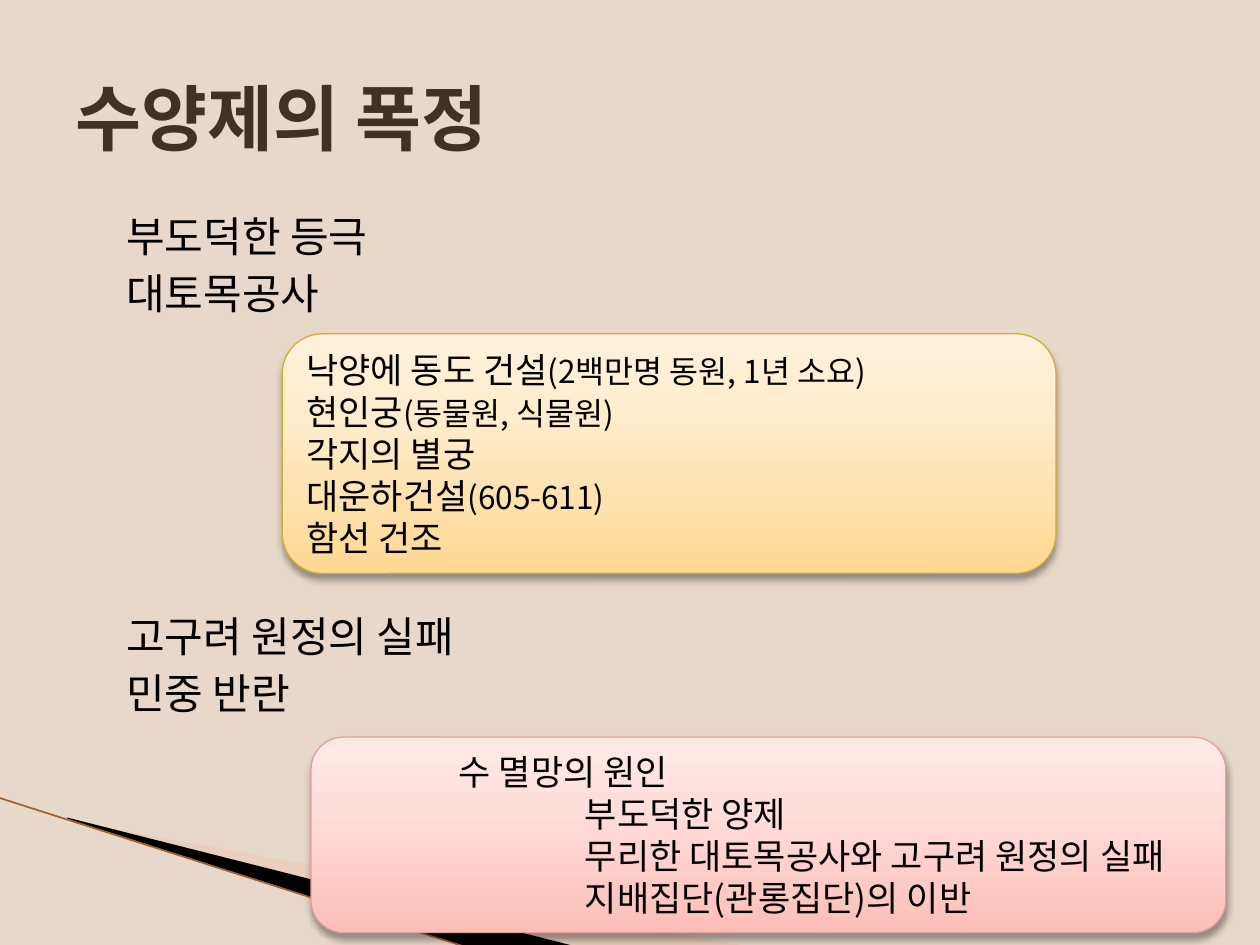
from dataclasses import dataclass

from lxml.etree import SubElement
from pptx import Presentation
from pptx.dml.color import RGBColor
from pptx.enum.shapes import MSO_CONNECTOR, MSO_SHAPE
from pptx.enum.text import MSO_ANCHOR, MSO_AUTO_SIZE, PP_ALIGN
from pptx.oxml import parse_xml
from pptx.oxml.ns import nsdecls, qn
from pptx.util import Cm, Pt


@dataclass(frozen=True)
class Theme:
    """Colours, fonts and type sizes of the slide."""
    background: str = "E8D8CA"
    title: str = "433021"
    text: str = "000000"
    wedge: str = "F3C1A7"
    rule: str = "A0602F"
    gold: tuple = ("FDD892", "FFECCC", "FFF1DB")
    gold_line: str = "D4AC30"
    pink: tuple = ("FEBEB8", "FFDFDC", "FFE9E7")
    pink_line: str = "E4A098"
    title_font: str = "Courier New"
    font: str = "Noto Sans CJK KR"
    latin_font: str = "Arial"
    title_size: int = 41
    body_size: int = 24
    box_size: int = 20
    note_size: int = 18


THEME = Theme()


def rgb(value):
    """Turn a hex string into a colour."""
    return RGBColor.from_string(value)


def add_run(p, text, size, font=THEME.font, color=THEME.text, bold=False):
    """Add one formatted run, with a Korean font for East Asian text."""
    r = p.add_run()
    r.text = text
    r.font.size, r.font.name, r.font.bold = Pt(size), font, bold
    r.font.color.rgb = rgb(color)
    SubElement(r.font._element, qn("a:ea")).set("typeface", THEME.font)


def add_paragraph(tf, index, indent=0, before=0):
    """Return a left-aligned, unbulleted paragraph."""
    p = tf.paragraphs[0] if index == 0 else tf.add_paragraph()
    p.alignment, p.space_before = PP_ALIGN.LEFT, Pt(before)
    pPr = p._p.get_or_add_pPr()
    pPr.set("marL", str(Cm(indent)))
    pPr.set("indent", "0")
    SubElement(pPr, qn("a:buNone"))
    return p


def place(sp, left, top, width, height, anchor):
    """Position a placeholder and return its text frame."""
    sp.left, sp.top, sp.width, sp.height = map(Cm, (left, top, width, height))
    tf = sp.text_frame
    tf.auto_size, tf.vertical_anchor, tf.word_wrap = MSO_AUTO_SIZE.NONE, anchor, True
    return tf


def add_wedge(slide, points, color, alpha=100):
    """Draw a filled outline through points given in centimetres."""
    start, *rest = [(Cm(x), Cm(y)) for x, y in points]
    builder = slide.shapes.build_freeform(*start)
    builder.add_line_segments(rest, close=True)
    sp = builder.convert_to_shape()
    sp.shadow.inherit = False
    sp.line.fill.background()
    sp.fill.solid()
    sp.fill.fore_color.rgb = rgb(color)
    if alpha < 100:
        clr = sp._element.spPr.find(".//" + qn("a:srgbClr"))
        SubElement(clr, qn("a:alpha")).set("val", str(alpha * 1000))


def add_rule(slide, start, end, color, width):
    """Draw a straight line without a shadow."""
    line = slide.shapes.add_connector(MSO_CONNECTOR.STRAIGHT, *map(Cm, start + end))
    line.line.color.rgb, line.line.width = rgb(color), Pt(width)
    SubElement(line._element.spPr, qn("a:effectLst"))


def add_box(slide, bounds, colors, line_color, paragraphs):
    """Draw a rounded box from (indent, runs) paragraphs, shaded upwards."""
    sp = slide.shapes.add_shape(MSO_SHAPE.ROUNDED_RECTANGLE, *map(Cm, bounds))
    sp.line.color.rgb, sp.line.width = rgb(line_color), Pt(0.75)
    sp.shadow.inherit = False
    spPr = sp._element.spPr
    stops = "".join(f'<a:gs pos="{pos}000"><a:srgbClr val="{color}"/></a:gs>'
                    for pos, color in zip((0, 65, 100), colors))
    spPr.find(qn("a:ln")).addprevious(parse_xml(
        f'<a:gradFill {nsdecls("a")} rotWithShape="1"><a:gsLst>{stops}</a:gsLst>'
        '<a:lin ang="16200000" scaled="0"/></a:gradFill>'))
    spPr.find(qn("a:effectLst")).append(parse_xml(
        f'<a:outerShdw {nsdecls("a")} blurRad="{Pt(4)}" dist="{Pt(3)}" dir="5400000" '
        'rotWithShape="0"><a:srgbClr val="000000"><a:alpha val="35000"/></a:srgbClr>'
        '</a:outerShdw>'))
    tf = sp.text_frame
    tf.word_wrap, tf.vertical_anchor = True, MSO_ANCHOR.MIDDLE
    for i, (indent, runs) in enumerate(paragraphs):
        p = add_paragraph(tf, i, indent)
        for text, size, font in runs:
            add_run(p, text, size, font)


def add_background(slide):
    """Colour the slide and draw the corner decoration."""
    slide.background.fill.solid()
    slide.background.fill.fore_color.rgb = rgb(THEME.background)
    add_wedge(slide, [(1.4, 16.54), (15.11, 19.08), (11.58, 19.08), (1.4, 16.51)],
              THEME.wedge, alpha=40)
    add_wedge(slide, [(1.35, 16.48), (11.61, 19.08), (9.45, 19.1), (1.37, 16.51)],
              THEME.text)
    add_rule(slide, (-0.03, 16.08), (9.42, 19.1), THEME.rule, 0.95)


def add_title(slide, text):
    """Fill the title placeholder."""
    tf = place(slide.shapes.title, 1.27, 0.76, 22.86, 3.18, MSO_ANCHOR.MIDDLE)
    add_run(add_paragraph(tf, 0), text, THEME.title_size, THEME.title_font,
            THEME.title, bold=True)


def add_body(slide, items):
    """Fill the body placeholder with (text, space before) items."""
    tf = place(slide.placeholders[1], 1.27, 4.11, 22.86, 12.57, MSO_ANCHOR.TOP)
    for i, (text, before) in enumerate(items):
        add_run(add_paragraph(tf, i, 1.02, before), text, THEME.body_size)


def main():
    """Build and save the slide."""
    prs = Presentation()
    prs.slide_width, prs.slide_height = Cm(25.4), Cm(19.05)
    slide = prs.slides.add_slide(prs.slide_layouts[1])
    add_background(slide)
    add_title(slide, "수양제의 폭정")
    add_body(slide, [("부도덕한 등극", 6), ("대토목공사", 4),
                     ("고구려 원정의 실패", 167), ("민중 반란", 4)])

    works = [("낙양에 동도 건설", "(2백만명 동원, 1년 소요)"),
             ("현인궁", "(동물원, 식물원)"), ("각지의 별궁",),
             ("대운하건설", "(605-611)"), ("함선 건조",)]
    sizes = (THEME.box_size, THEME.note_size)
    add_box(slide, (5.69, 6.73, 15.6, 4.83), THEME.gold, THEME.gold_line,
            [(0, [(text, size, THEME.font) for text, size in zip(parts, sizes)])
             for parts in works])

    causes = ["부도덕한 양제", "무리한 대토목공사와 고구려 원정의 실패",
              "지배집단(관롱집단)의 이반"]
    heading = (2.54, [("수 멸망의 원인", THEME.box_size, THEME.latin_font)])
    add_box(slide, (6.27, 14.86, 18.44, 3.94), THEME.pink, THEME.pink_line,
            [heading] + [(5.08, [(text, THEME.box_size, THEME.font)])
                         for text in causes])
    prs.save("out.pptx")


main()
